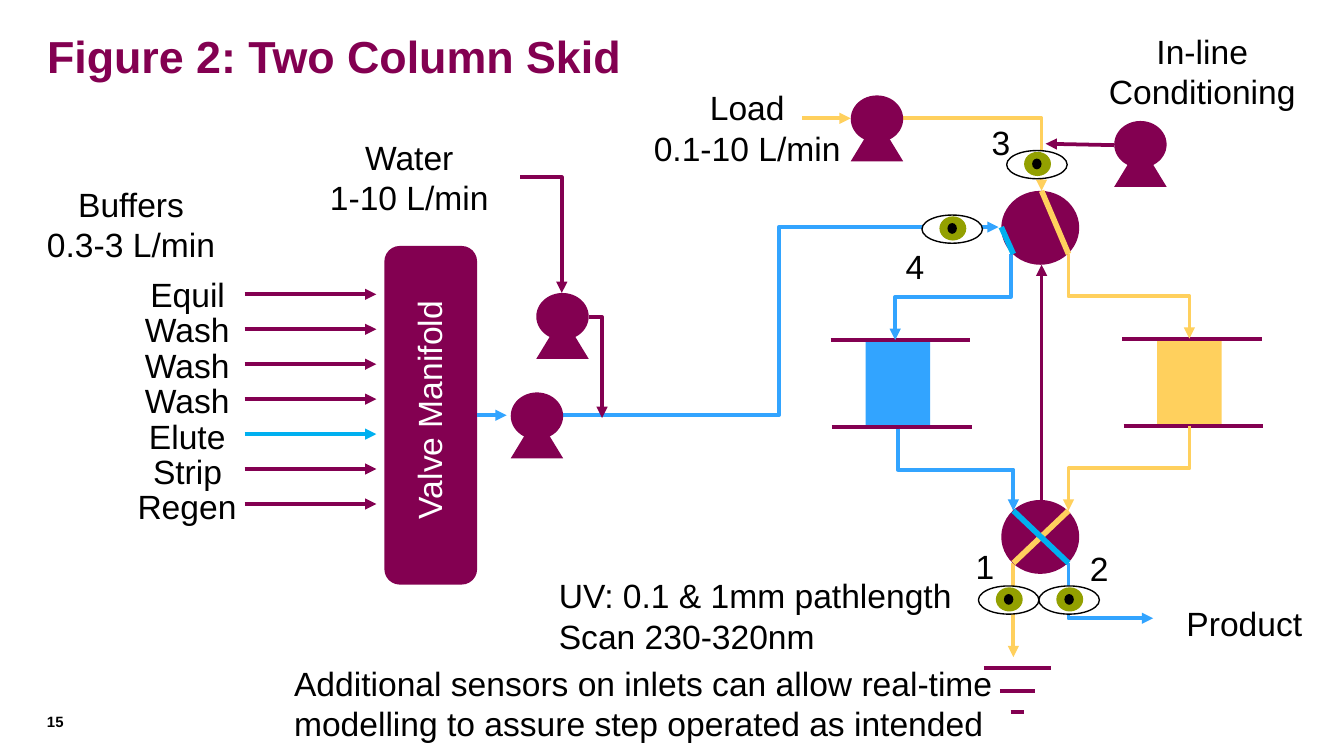
from dataclasses import dataclass

from lxml.etree import SubElement
from pptx import Presentation
from pptx.dml.color import RGBColor
from pptx.enum.shapes import MSO_CONNECTOR as Link, MSO_SHAPE as Shape
from pptx.enum.text import MSO_ANCHOR as Anchor, MSO_AUTO_SIZE as AutoSize, PP_ALIGN as Align
from pptx.oxml.ns import qn
from pptx.util import Inches, Pt


@dataclass(frozen=True)
class Theme:
    font: str = "Arial"
    plum: RGBColor = RGBColor(0x83, 0x00, 0x51)
    blue: RGBColor = RGBColor(0x32, 0xA4, 0xFF)
    cyan: RGBColor = RGBColor(0x00, 0xB0, 0xF0)
    gold: RGBColor = RGBColor(0xFF, 0xD0, 0x5D)
    olive: RGBColor = RGBColor(0x93, 0xA0, 0x00)
    black: RGBColor = RGBColor(0, 0, 0)
    white: RGBColor = RGBColor(0xFF, 0xFF, 0xFF)
    title_size: int = 24
    label_size: int = 18
    page_size: int = 8


THEME = Theme()


def write_text(frame, text, size=THEME.label_size, color=THEME.black, bold=False, align=Align.LEFT):
    """Fill a text frame, one paragraph for each line of text."""
    for index, line in enumerate(text.split("\n")):
        paragraph = frame.paragraphs[0] if index == 0 else frame.add_paragraph()
        paragraph.alignment = align
        run = paragraph.add_run()
        run.text = line
        run.font.name = THEME.font
        run.font.size = Pt(size)
        run.font.bold = bold
        run.font.color.rgb = color


def add_label(shapes, text, left, top, width, height=0.4, wrap=False, rotation=0, inset=None, **style):
    label = shapes.add_textbox(Inches(left), Inches(top), Inches(width), Inches(height))
    label.rotation = rotation
    frame = label.text_frame
    frame.word_wrap = wrap
    frame.auto_size = AutoSize.SHAPE_TO_FIT_TEXT
    if inset is not None:
        frame.margin_left = frame.margin_right = Inches(inset)
        frame.margin_top = frame.margin_bottom = Inches(inset)
    write_text(frame, text, **style)


def add_block(shapes, preset, left, top, width, height, fill, outline=None):
    block = shapes.add_shape(preset, Inches(left), Inches(top), Inches(width), Inches(height))
    block.shadow.inherit = False
    block.fill.solid()
    block.fill.fore_color.rgb = fill
    if outline is None:
        block.line.fill.background()
    else:
        block.line.color.rgb = outline
        block.line.width = Pt(0.75)
    return block


def style_connector(connector, color, weight, arrow):
    connector.line.color.rgb = color
    connector.line.width = Pt(weight)
    properties = connector.element.spPr
    if arrow:
        SubElement(properties.find(qn("a:ln")), qn("a:tailEnd"), type="triangle")
    SubElement(properties, qn("a:effectLst"))


def add_line(shapes, start, end, color=THEME.plum, weight=2, arrow=False):
    connector = shapes.add_connector(Link.STRAIGHT, *map(Inches, (*start, *end)))
    style_connector(connector, color, weight, arrow)
    return connector


def add_elbow(shapes, start, end, color, bends=2, down_first=False):
    """Bent arrow; down_first makes it leave downwards instead of sideways."""
    (x1, y1), (x2, y2) = start, end
    if down_first:
        # The frame is turned a quarter about its centre, so its sides swap.
        mid_x, mid_y = (x1 + x2) / 2, (y1 + y2) / 2
        half_w, half_h = abs(y2 - y1) / 2, abs(x2 - x1) / 2
        corners = (mid_x - half_w, mid_y - half_h, mid_x + half_w, mid_y + half_h)
    else:
        corners = (x1, y1, x2, y2)
    connector = shapes.add_connector(Link.ELBOW, *map(Inches, corners))
    properties = connector.element.spPr
    if down_first:
        frame = properties.find(qn("a:xfrm"))
        frame.set("rot", str((90 if x2 < x1 else 270) * 60000))
        if x2 > x1:
            frame.set("flipH", "1")
    properties.find(qn("a:prstGeom")).set("prst", f"bentConnector{bends + 1}")
    style_connector(connector, color, 2, arrow=True)


def add_pump(shapes, left, top):
    pump = shapes.add_group_shape().shapes
    add_block(pump, Shape.OVAL, left, top, 0.39, 0.35, THEME.plum)
    add_block(pump, Shape.ISOSCELES_TRIANGLE, left, top + 0.17, 0.39, 0.32, THEME.plum)


def add_column(shapes, left, top, fill):
    column = shapes.add_group_shape().shapes
    add_block(column, Shape.RECTANGLE, left, top, 0.48, 0.65, fill)
    for shift, y in ((-0.26, top), (-0.25, top + 0.65)):
        add_line(column, (left + shift, y), (left + shift + 1.04, y))


def add_rotary_valve(shapes, top, channels):
    valve = shapes.add_group_shape().shapes
    add_block(valve, Shape.OVAL, 7.45, top, 0.58, 0.55, THEME.plum)
    for start, end, color in channels:
        add_line(valve, start, end, color, weight=3)


def add_sensor(shapes, left, top):
    """Eye symbol for an in-line UV sensor."""
    eye = shapes.add_group_shape().shapes
    add_block(eye, Shape.OVAL, left, top, 0.45, 0.21, THEME.white, THEME.black)
    add_block(eye, Shape.OVAL, left + 0.13, top + 0.01, 0.2, 0.18, THEME.olive)
    add_block(eye, Shape.OVAL, left + 0.19, top + 0.06, 0.07, 0.08, THEME.black)


def add_buffer_inlets(shapes):
    steps = (("Equil", 0.76), ("Wash", 0.84), ("Wash", 0.84), ("Wash", 0.84),
             ("Elute", 0.78), ("Strip", 0.72), ("Regen", 0.95))
    for row, (step, width) in enumerate(steps):
        y = 2.19 + 0.26 * row
        color = THEME.cyan if step == "Elute" else THEME.plum
        add_line(shapes, (1.82, y), (2.8, y), color, arrow=True)
        add_label(shapes, step, 1.4 - width / 2, 1.99 + 0.79 / 3 * row, width)


def add_drain(shapes):
    drain = shapes.add_group_shape().shapes
    for y, half in ((4.97, 0.25), (5.14, 0.13), (5.3, 0.05)):
        add_line(drain, (7.57 - half, y), (7.57 + half, y))


def add_flow_paths(shapes, manifold):
    blue, gold, plum = THEME.blue, THEME.gold, THEME.plum
    add_elbow(shapes, (6.71, 0.88), (7.75, 1.42), gold, bends=1)
    add_elbow(shapes, (3.87, 1.32), (4.18, 2.18), plum, bends=1)
    add_elbow(shapes, (4.16, 3.09), (7.43, 1.69), blue)
    add_elbow(shapes, (4.38, 2.36), (4.48, 3.11), plum, bends=1)
    add_elbow(shapes, (7.52, 1.89), (6.66, 2.53), blue, down_first=True)
    add_elbow(shapes, (7.95, 1.89), (8.85, 2.52), gold, down_first=True)
    add_elbow(shapes, (6.68, 3.19), (7.54, 3.8), blue, down_first=True)
    add_elbow(shapes, (8.85, 3.17), (7.95, 3.8), gold, down_first=True)
    add_elbow(shapes, (7.95, 4.19), (8.58, 4.6), blue, bends=1, down_first=True)
    add_line(shapes, (7.54, 4.19), (7.54, 4.89), gold, arrow=True)
    add_line(shapes, (5.97, 0.88), (6.33, 0.88), gold, arrow=True)
    add_line(shapes, (8.29, 1.08), (7.78, 1.07), plum, arrow=True)
    outlet = add_line(shapes, (3.55, 3.09), (3.77, 3.09), blue, arrow=True)
    outlet.begin_connect(manifold, 3)


def add_labels(shapes):
    centre = Align.CENTER
    add_label(shapes, "Buffers\n0.3-3 L/min", 0.15, 1.32, 1.65, 0.71, wrap=True, align=centre)
    add_label(shapes, "Water\n1-10 L/min", 2.22, 0.97, 1.65, 0.71, wrap=True, align=centre)
    add_label(shapes, "Load\n0.1-10 L/min", 4.76, 0.6, 1.6, 1.01, align=centre)
    add_label(shapes, "In-line Conditioning", 8.14, 0.18, 1.61, 0.71, wrap=True, align=centre)
    add_label(shapes, "Valve Manifold", 2.27, 2.84, 1.84, rotation=270, color=THEME.white)
    add_label(shapes, "Product", 8.73, 4.44, 1.07)
    add_label(shapes, "UV: 0.1 & 1mm pathlength\nScan 230-320nm", 4.06, 4.23, 3.15, 0.71)
    add_label(shapes, "Additional sensors on inlets can allow real-time modelling to assure "
              "step operated as intended", 2.09, 4.88, 5.63, 0.71, wrap=True)
    for number, left, top, width in (("1", 7.16, 4.01, 0.21), ("2", 8.01, 4.03, 0.21),
                                     ("3", 7.28, 0.86, 0.27), ("4", 6.64, 1.78, 0.27)):
        add_label(shapes, number, left, top, width, wrap=True)
    add_label(shapes, "15", 0.35, 5.3, 0.43, 0.18, wrap=True, inset=0, size=THEME.page_size, bold=True)


def add_title(title, text):
    title.left, title.top, title.width, title.height = map(Inches, (0.25, 0.16, 9.59, 0.55))
    title.text_frame.vertical_anchor = Anchor.TOP
    write_text(title.text_frame, text, size=THEME.title_size, color=THEME.plum, bold=True)


def main():
    deck = Presentation()
    deck.slide_width, deck.slide_height = Inches(10), Inches(10 * 9 / 16)
    shapes = deck.slides.add_slide(deck.slide_layouts[5]).shapes
    add_title(shapes.title, "Figure 2: Two Column Skid")
    manifold = add_block(shapes, Shape.ROUNDED_RECTANGLE, 2.86, 1.83, 0.69, 2.52, THEME.plum)
    add_buffer_inlets(shapes)
    add_column(shapes, 6.44, 2.53, THEME.blue)
    add_column(shapes, 8.61, 2.52, THEME.gold)
    add_flow_paths(shapes, manifold)
    for left, top in ((6.33, 0.71), (3.8, 2.92), (3.99, 2.18), (8.29, 0.9)):
        add_pump(shapes, left, top)
    add_rotary_valve(shapes, 1.42, (((7.75, 1.42), (7.95, 1.89), THEME.gold),
                                    ((7.45, 1.69), (7.54, 1.89), THEME.cyan)))
    add_rotary_valve(shapes, 3.72, (((7.95, 3.8), (7.54, 4.19), THEME.gold),
                                    ((7.54, 3.8), (7.95, 4.19), THEME.cyan)))
    add_line(shapes, (7.75, 3.72), (7.75, 1.97), arrow=True)
    add_drain(shapes)
    for left, top in ((7.28, 4.36), (7.73, 4.36), (7.49, 1.12), (6.86, 1.6)):
        add_sensor(shapes, left, top)
    add_labels(shapes)
    deck.save("out.pptx")


if __name__ == "__main__":
    main()
